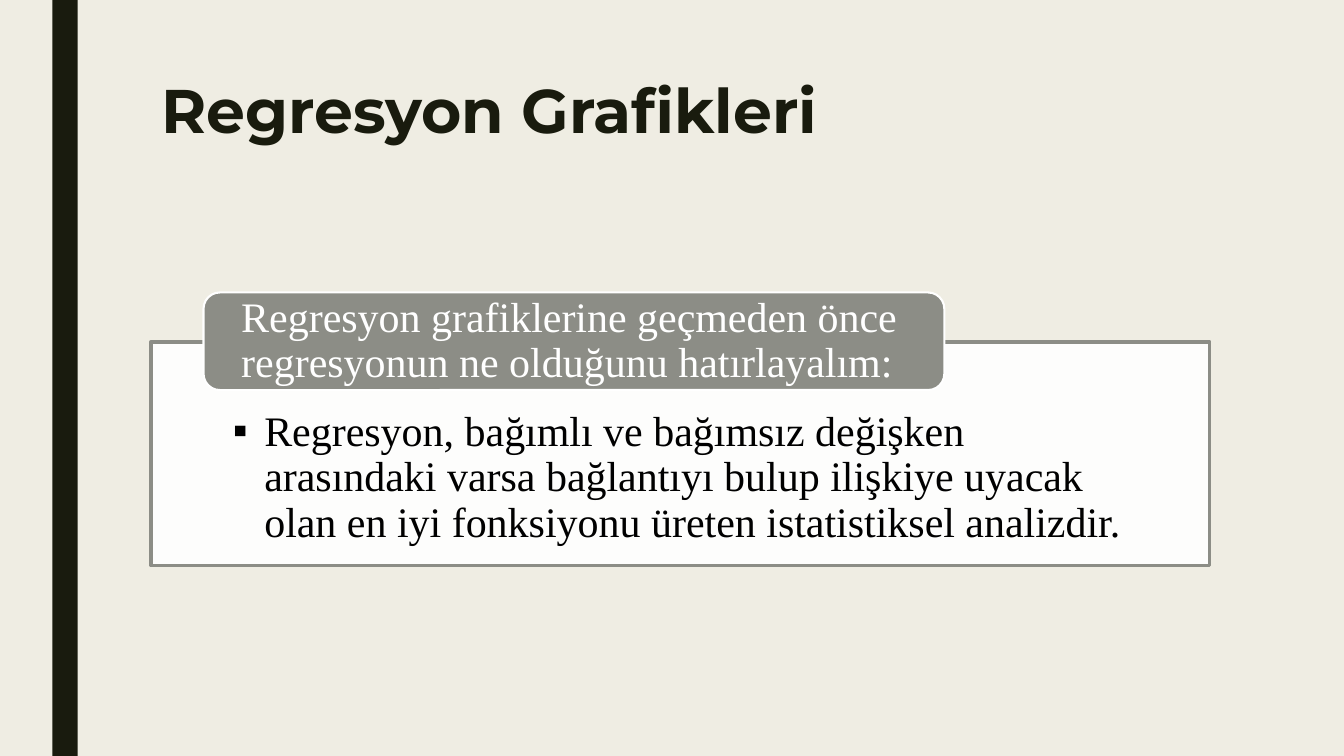
from dataclasses import dataclass

from lxml.etree import SubElement
from pptx import Presentation
from pptx.dml.color import RGBColor
from pptx.enum.shapes import MSO_SHAPE as Shape
from pptx.enum.text import MSO_ANCHOR as Anchor, MSO_AUTO_SIZE as AutoSize, PP_ALIGN as Align
from pptx.oxml.ns import qn
from pptx.util import Cm, Pt


@dataclass(frozen=True)
class Theme:
    """Colours, fonts and type sizes of the slide."""
    paper: str = "EFEDE3"
    ink: str = "191B0E"
    grey: str = "8C8D86"
    white: str = "FFFFFF"
    black: str = "000000"
    title_font: str = "Montserrat"
    text_font: str = "Times New Roman"
    title_size: int = 44
    text_size: int = 30


THEME = Theme()


def place(shape, left, top, width, height):
    """Move and size a shape, in centimetres."""
    shape.left, shape.top, shape.width, shape.height = map(Cm, (left, top, width, height))


def paint(shape, colour, line=None, weight=0):
    """Give a shape a solid fill and an optional outline."""
    shape.fill.solid()
    shape.fill.fore_color.rgb = RGBColor.from_string(colour)
    if line:
        shape.line.color.rgb = RGBColor.from_string(line)
        shape.line.width = Pt(weight)
    else:
        shape.line.fill.background()


def write(shape, text, font, size, colour, insets, anchor=Anchor.TOP, bold=False):
    """Set one left-aligned paragraph in a shape and return it."""
    frame = shape.text_frame
    frame.word_wrap = True
    frame.auto_size = AutoSize.NONE
    frame.vertical_anchor = anchor
    (frame.margin_left, frame.margin_top,
     frame.margin_right, frame.margin_bottom) = map(Cm, insets)
    para = frame.paragraphs[0]
    para.alignment = Align.LEFT
    para.line_spacing = 0.9
    para.space_before = para.space_after = Pt(0)
    span = para.add_run()
    span.text = text
    span.font.name = font
    span.font.size = Pt(size)
    span.font.bold = bold
    span.font.color.rgb = RGBColor.from_string(colour)
    return para


def add_bullet(para, mark, indent):
    """Hang a paragraph from a bullet mark."""
    props = para._p.get_or_add_pPr()
    props.set("marL", str(Cm(indent)))
    props.set("indent", str(-Cm(indent)))
    SubElement(props, qn("a:buFont"), typeface=THEME.text_font)
    SubElement(props, qn("a:buChar"), char=mark)


def add_box(page, kind, bounds, colour, line=None, weight=0):
    """Add a flat preset shape."""
    box = page.shapes.add_shape(kind, *map(Cm, bounds))
    box.shadow.inherit = False
    paint(box, colour, line, weight)
    return box


def add_title(page, text):
    """Fill the title placeholder."""
    title = page.shapes.title
    place(title, 3.81, 1.9, 26.67, 4.11)
    write(title, text, THEME.title_font, THEME.title_size, THEME.ink,
          (0.25, 0.13, 0.25, 0.13), bold=True)


def add_definition(page, text):
    """Turn the body placeholder into the framed definition."""
    panel = page.placeholders[1]
    place(panel, 3.81, 8.61, 26.67, 5.64)
    paint(panel, THEME.white, THEME.grey, 2.75)
    white = panel.fill._xPr.find(qn("a:solidFill"))[0]
    SubElement(white, qn("a:alpha"), val="90000")
    para = write(panel, text, THEME.text_font, THEME.text_size, THEME.black,
                 (2.06, 1.73, 2.06, 0.58))
    add_bullet(para, "▪", 0.79)


def add_label(page, text):
    """Add the rounded heading over the frame."""
    label = add_box(page, Shape.ROUNDED_RECTANGLE, (5.13, 7.37, 18.67, 2.46),
                    THEME.grey, THEME.white, 1.5)
    write(label, text, THEME.text_font, THEME.text_size, THEME.white,
          (0.83, 0, 0.83, 0), Anchor.MIDDLE)


def main():
    """Build and save the slide."""
    deck = Presentation()
    deck.slide_width, deck.slide_height = Cm(33.87), Cm(19.05)
    page = deck.slides.add_slide(deck.slide_layouts[1])
    page.background.fill.solid()
    page.background.fill.fore_color.rgb = RGBColor.from_string(THEME.paper)
    add_box(page, Shape.RECTANGLE, (1.32, 0, 0.64, 19.05), THEME.ink)
    add_title(page, "Regresyon Grafikleri")
    add_definition(page, "Regresyon, bağımlı ve bağımsız değişken arasındaki varsa bağlantıyı "
                         "bulup ilişkiye uyacak olan en iyi fonksiyonu üreten istatistiksel "
                         "analizdir.")
    add_label(page, "Regresyon grafiklerine geçmeden önce regresyonun ne olduğunu hatırlayalım:")
    deck.save("out.pptx")


if __name__ == "__main__":
    main()
